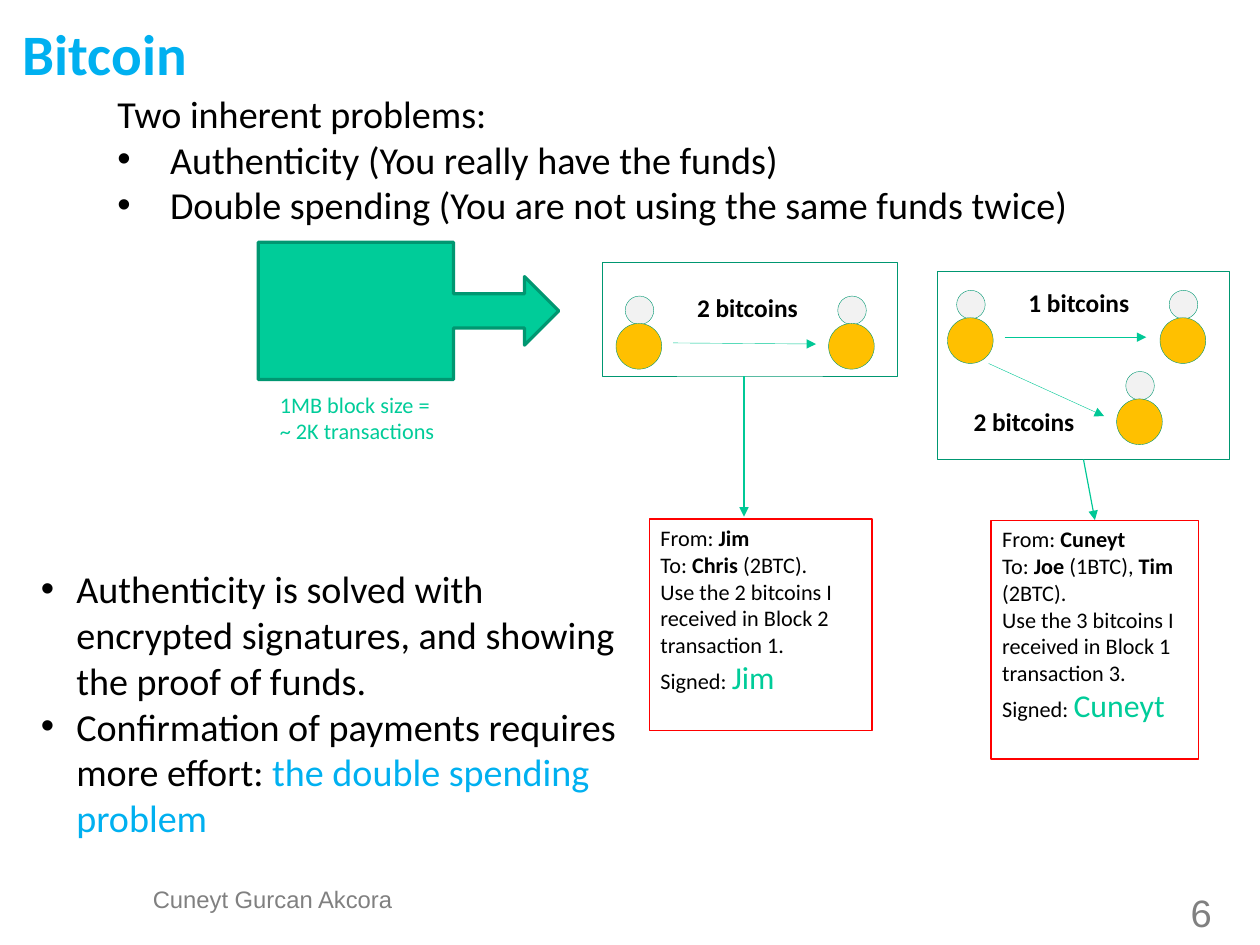
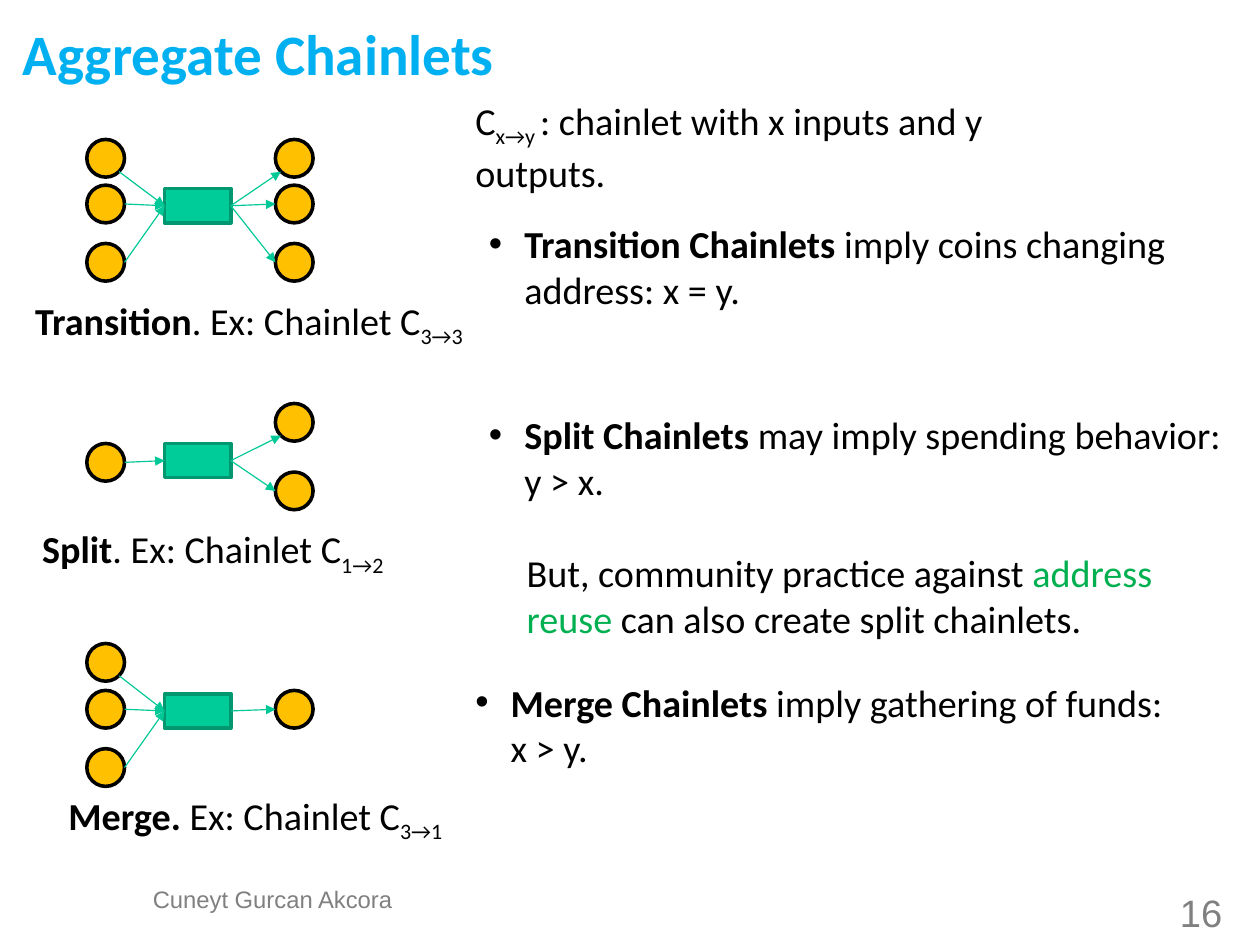
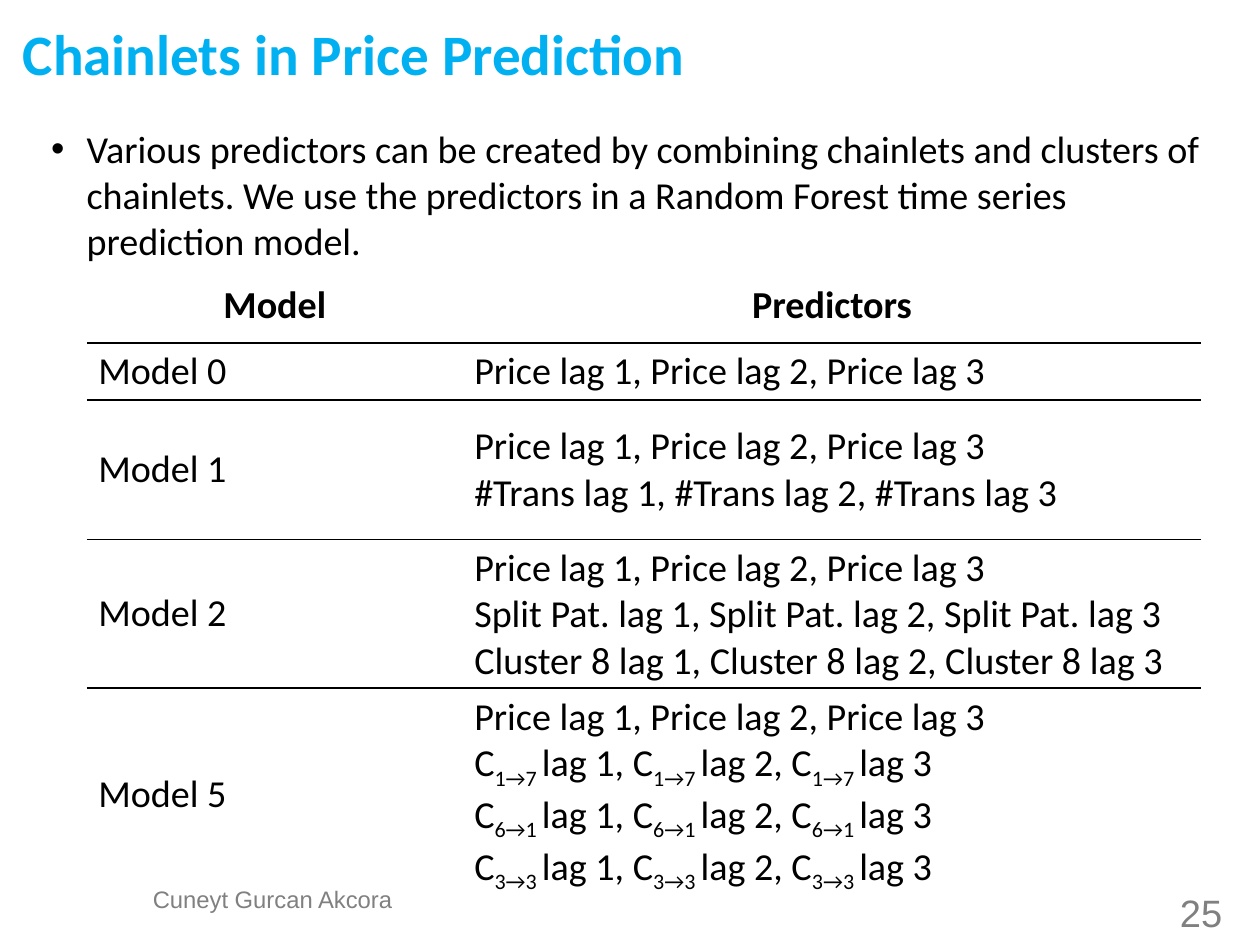
from dataclasses import dataclass

import pptx
import pptx.dml.color
import pptx.enum.shapes
import pptx.enum.text
import pptx.oxml
import pptx.oxml.ns
import pptx.util
from pptx.util import Inches

COLORS = {
    "text": "000000", "title": "00B0F0", "footer": "808080", "green": "00CC99",
    "edge": "009771", "arrow": "00C896", "gold": "FFC000", "head": "F2F2F2",
    "warning": "FF0000", "reuse": "00B050",
}
SHAPES = pptx.enum.shapes.MSO_SHAPE
CENTER = pptx.enum.text.PP_ALIGN.CENTER
MIDDLE = pptx.enum.text.MSO_ANCHOR.MIDDLE
NO_TABLE_STYLE = "{2D5ABB26-0587-4C30-8999-92F81FD0307C}"
INDENT = 0.31
DOT = 0.33


@dataclass
class Para:
    """A paragraph; each run is a string or a (string, style) pair."""
    runs: list
    indent: float = 0
    align: object = None
    spacing: float = 1.0


def bold(text):
    return text, {"bold": True}


def sub(text):
    return text, {"sub": True}


def colored(text, color, size=None):
    return text, {"color": color, "size": size}


def rgb(name):
    return pptx.dml.color.RGBColor.from_string(COLORS[name])


def add_run(p, text, size, color="text", font="Calibri", bold=False, sub=False):
    r = p.add_run()
    r.text = text
    r.font.size = pptx.util.Pt(size)
    r.font.name = font
    r.font.bold = bold
    r.font.color.rgb = rgb(color)
    if sub:
        r._r.get_or_add_rPr().set("baseline", "-25000")


def fill_text(tf, paras, size, **style):
    """Write the paragraphs; an indented one gets a hanging bullet."""
    for i, para in enumerate(paras):
        p = tf.paragraphs[0] if i == 0 else tf.add_paragraph()
        p.alignment = para.align or pptx.enum.text.PP_ALIGN.LEFT
        p.line_spacing = para.spacing
        if para.indent:
            pPr = p._p.get_or_add_pPr()
            pPr.set("marL", str(Inches(para.indent)))
            pPr.set("indent", str(-Inches(para.indent)))
            ns = pptx.oxml.ns.nsdecls("a")
            pPr.append(pptx.oxml.parse_xml(f'<a:buFont {ns} typeface="Arial"/>'))
            pPr.append(pptx.oxml.parse_xml(f'<a:buChar {ns} char="•"/>'))
        for run in para.runs:
            text, own = (run, {}) if isinstance(run, str) else run
            look = {"size": size, **style, **{k: v for k, v in own.items() if v}}
            add_run(p, text, **look)


def set_margins(tf, x, y):
    tf.margin_left = tf.margin_right = Inches(x)
    tf.margin_top = tf.margin_bottom = Inches(y)


def add_text(s, at, paras, size=24, margins=(0.1, 0.05), **style):
    tf = s.shapes.add_textbox(*map(Inches, at)).text_frame
    tf.word_wrap = True
    set_margins(tf, *margins)
    fill_text(tf, paras, size, **style)


def add_shape(s, kind, at, fill=None, line="edge", width=0.25):
    sp = s.shapes.add_shape(kind, *map(Inches, at))
    sp.shadow.inherit = False
    if fill:
        sp.fill.solid()
        sp.fill.fore_color.rgb = rgb(fill)
    else:
        sp.fill.background()
    sp.line.color.rgb = rgb(line)
    sp.line.width = pptx.util.Pt(width)
    return sp


def add_arrow(s, start, end, width=0.75):
    cn = s.shapes.add_connector(pptx.enum.shapes.MSO_CONNECTOR.STRAIGHT,
                                *map(Inches, (*start, *end)))
    cn.line.color.rgb = rgb("arrow")
    cn.line.width = pptx.util.Pt(width)
    ns = pptx.oxml.ns.nsdecls("a")
    cn.line._get_or_add_ln().append(
        pptx.oxml.parse_xml(f'<a:tailEnd {ns} type="triangle"/>'))
    cn._element.spPr.append(pptx.oxml.parse_xml(f"<a:effectLst {ns}/>"))
    return cn


def add_slide(prs, title, number):
    s = prs.slides.add_slide(prs.slide_layouts[5])
    sp = s.shapes.title
    sp.left, sp.top, sp.width, sp.height = map(Inches, (0.2, 0.15, 9.92, 0.55))
    tf = sp.text_frame
    tf.auto_size = pptx.enum.text.MSO_AUTO_SIZE.NONE
    tf.vertical_anchor = pptx.enum.text.MSO_ANCHOR.TOP
    set_margins(tf, 0, 0)
    fill_text(tf, [Para([bold(title)], spacing=1.02)], 36, color="title")
    for at, text, size in (((1.3, 7.76, 2.17, 0.37), "Cuneyt Gurcan Akcora", 15),
                           ((10.01, 7.82, 1, 0.4), str(number), 24)):
        add_text(s, at, [Para([text], align=CENTER, spacing=0.93)], size,
                 margins=(0, 0), color="footer", font="Arial")
    return s


def add_person(s, x, y):
    add_shape(s, SHAPES.OVAL, (x + 0.08, y, 0.25, 0.25), "head")
    add_shape(s, SHAPES.OVAL, (x, y + 0.24, 0.4, 0.4), "gold")


def add_payment(s, label, label_at, start, end):
    add_arrow(s, start, end, 0.25)
    add_text(s, (*label_at, 1.15, 0.37), [Para([bold(label)])], 16)


def add_message(s, at, sender, receivers, source):
    sp = add_shape(s, SHAPES.RECTANGLE, at, line="warning", width=0.75)
    tf = sp.text_frame
    tf.word_wrap = True
    tf.vertical_anchor = pptx.enum.text.MSO_ANCHOR.TOP
    set_margins(tf, 0.1, 0.05)
    fill_text(tf, [
        Para(["From: ", bold(sender)]),
        Para(["To: ", *receivers]),
        Para([source]),
        Para(["Signed: ", colored(sender, "green", 20)]),
    ], 14)
    return sp


def add_chainlet(s, box_top, input_tops, output_tops):
    """Draw input dots, the transaction box and output dots, joined by arrows."""
    box = add_shape(s, SHAPES.RECTANGLE, (1.44, box_top, 0.58, 0.3), "green", width=2.25)
    box_y = box_top + 0.15
    radius = DOT / 2
    for left, tops, side in ((0.76, input_tops, 1), (2.41, output_tops, -1)):
        for top in tops:
            add_shape(s, SHAPES.OVAL, (left, top, DOT, DOT), "gold", "text", 2.25)
            x, y = left + radius, top + radius
            if box_y - y > 0.3:
                rim = x + side * radius * 0.71, y + radius * 0.71
            else:
                rim = x + side * radius, y
            if side == 1:
                add_arrow(s, rim, (1.44, box_y)).end_connect(box, 1)
            else:
                add_arrow(s, (2.02, box_y), rim).begin_connect(box, 3)


def add_rule(cell, side):
    ns = pptx.oxml.ns.nsdecls("a")
    cell._tc.get_or_add_tcPr().insert(0, pptx.oxml.parse_xml(
        f'<a:{side} {ns} w="12700"><a:solidFill><a:srgbClr val="{COLORS["text"]}"/>'
        f"</a:solidFill></a:{side}>"))


def add_ruled_table(s, at, col_widths, row_heights, rows):
    """Add a table with lines only between its rows."""
    table = s.shapes.add_table(len(rows), len(col_widths), *map(Inches, at)).table
    table.first_row = table.horz_banding = False
    table._tbl.tblPr.find(pptx.oxml.ns.qn("a:tableStyleId")).text = NO_TABLE_STYLE
    for col, width in zip(table.columns, col_widths):
        col.width = Inches(width)
    for i, (height, row) in enumerate(zip(row_heights, rows)):
        table.rows[i].height = Inches(height)
        for cell, paras in zip(table.rows[i].cells, row):
            cell.fill.background()
            cell.vertical_anchor = MIDDLE
            fill_text(cell.text_frame, paras, 24)
            if i < len(rows) - 1:
                add_rule(cell, "lnB")
            if i > 0:
                add_rule(cell, "lnT")


def lags(name):
    return Para([", ".join(f"{name} lag {n}" for n in (1, 2, 3))])


def chainlet_lags(name):
    runs = []
    for n in (1, 2, 3):
        runs += ["C", sub(name + " "), f"lag {n}" + (", " if n < 3 else "")]
    return Para(runs)


def build_bitcoin(prs):
    s = add_slide(prs, "Bitcoin", 6)
    add_text(s, (0.93, 0.74, 9.83, 1.31), [
        Para(["Two inherent problems:"]),
        Para(["Authenticity (You really have the funds)"], 0.46),
        Para(["Double spending (You are not using the same funds twice)"], 0.46),
    ])
    add_shape(s, SHAPES.RIGHT_ARROW_CALLOUT, (2.26, 2.12, 2.63, 1.2), "green", width=2)
    add_text(s, (2.35, 3.37, 1.82, 0.57),
             [Para(["1MB block size ="]), Para(["~ 2K transactions"])], 14, color="green")

    for x, y in ((5.39, 2.59), (7.25, 2.59), (8.29, 2.54), (10.15, 2.54), (9.77, 3.25)):
        add_person(s, x, y)
    add_payment(s, "2 bitcoins", (6, 2.51), (5.89, 3), (7.14, 3.01))
    add_payment(s, "1 bitcoins", (8.9, 2.46), (8.79, 2.95), (10.03, 2.95))
    add_payment(s, "2 bitcoins", (8.42, 3.5), (8.65, 3.18), (9.66, 3.64))
    add_shape(s, SHAPES.RECTANGLE, (5.27, 2.29, 2.58, 1))
    split_panel = add_shape(s, SHAPES.RECTANGLE, (8.2, 2.37, 2.56, 1.65))

    add_message(s, (5.68, 4.54, 1.95, 1.85), "Jim", [bold("Chris "), "(2BTC)."],
                "Use the 2 bitcoins I received in Block 2 transaction 1.")
    split_message = add_message(
        s, (8.67, 4.55, 1.82, 2.09), "Cuneyt",
        [bold("Joe"), " (1BTC), ", bold("Tim"), " (2BTC)."],
        "Use the 3 bitcoins I received in Block 1 transaction 3.")
    add_arrow(s, (6.51, 3.29), (6.51, 4.52))
    cn = add_arrow(s, (9.48, 4.02), (9.58, 4.55))
    cn.begin_connect(split_panel, 2)
    cn.end_connect(split_message, 0)

    add_text(s, (0.26, 4.9, 5.33, 2.52), [
        Para(["Authenticity is solved with encrypted signatures, and showing "
              "the proof of funds."], INDENT),
        Para(["Confirmation of payments requires more effort: ",
              colored("the double spending problem", "title")], INDENT),
    ])


def build_chainlets(prs):
    s = add_slide(prs, "Aggregate Chainlets", 16)
    add_chainlet(s, 1.65, (1.22, 1.62, 2.13), (1.22, 1.62, 2.13))
    add_chainlet(s, 3.88, (3.88,), (3.53, 4.13))
    add_chainlet(s, 6.07, (5.63, 6.04, 6.55), (6.04,))
    for left, top, name, rest, degree in (
            (0.21, 2.55, "Transition", ". Ex: Chainlet C", "3→3"),
            (0.27, 4.55, "Split", ". Ex: Chainlet C", "1→2"),
            (0.5, 6.88, "Merge.", " Ex: Chainlet C", "3→1")):
        add_text(s, (left, top, 4.12, 0.5), [Para([bold(name), rest, sub(degree)])])

    add_text(s, (4.06, 0.8, 5.71, 0.91),
             [Para(["C", sub("x→y "), ": chainlet with x inputs and y outputs."])])
    for left, top, width, name, meaning in (
            (4.18, 1.88, 6.3, "Transition", "imply coins changing address: x = y."),
            (4.18, 3.55, 6.66, "Split", "may imply spending behavior: y > x."),
            (4.06, 5.89, 6.42, "Merge", "imply gathering of funds: x > y.")):
        add_text(s, (left, top, width, 0.91),
                 [Para([bold(f"{name} Chainlets "), meaning], INDENT)])
    add_text(s, (4.51, 4.76, 6.33, 0.91), [
        Para(["But, community practice against ", colored("address reuse ", "reuse"),
              "can also create split chainlets."])])


def build_prediction(prs):
    s = add_slide(prs, "Chainlets in Price Prediction", 25)
    add_text(s, (0.35, 1.05, 10.33, 1.31), [
        Para(["Various predictors can be created by combining chainlets and clusters of "
              "chainlets. We use the predictors in a Random Forest time series "
              "prediction model."], INDENT)])
    price = lags("Price")
    models = {
        "Model 0": [price],
        "Model 1": [price, lags("#Trans")],
        "Model 2": [price, lags("Split Pat."), lags("Cluster 8")],
        "Model 5": [price, *map(chainlet_lags, ("1→7", "6→1", "3→3"))],
    }
    header = [[Para([bold(name)], align=CENTER)] for name in ("Model", "Predictors")]
    rows = [header] + [[[Para([name])], paras] for name, paras in models.items()]
    add_ruled_table(s, (0.76, 2.34, 9.75, 5.38), (3.29, 6.46),
                    (0.66, 0.5, 1.22, 1.3, 1.7), rows)


def main():
    prs = pptx.Presentation()
    prs.slide_width = pptx.util.Emu(10080625)
    prs.slide_height = pptx.util.Emu(7559675)
    build_bitcoin(prs)
    build_chainlets(prs)
    build_prediction(prs)
    prs.save("out.pptx")


if __name__ == "__main__":
    main()
